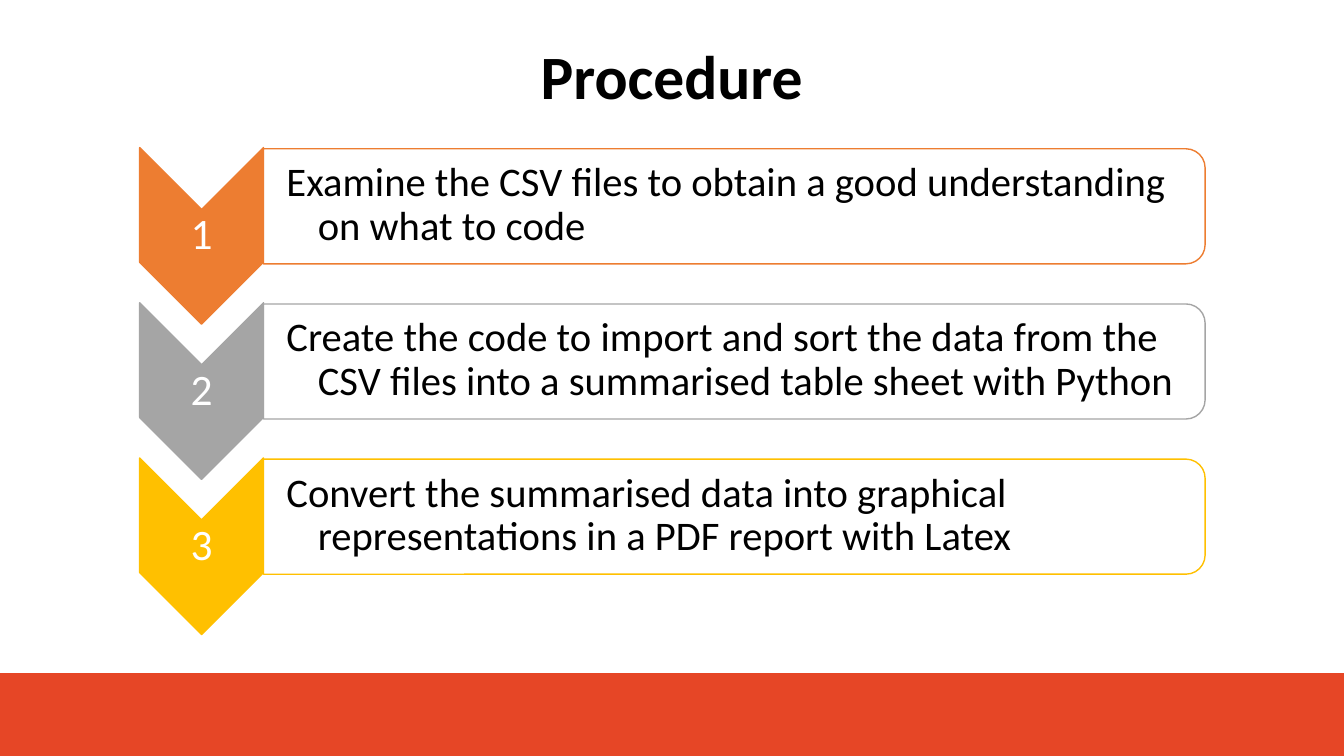
from lxml import etree
from pptx import Presentation
from pptx.dml.color import RGBColor
from pptx.enum.shapes import MSO_SHAPE
from pptx.enum.text import MSO_ANCHOR, PP_ALIGN
from pptx.oxml.ns import qn
from pptx.util import Cm, Pt

CHEVRON = MSO_SHAPE.CHEVRON
ROUNDED = MSO_SHAPE.ROUND_2_SAME_RECTANGLE
RECTANGLE = MSO_SHAPE.RECTANGLE
MIDDLE = MSO_ANCHOR.MIDDLE
CENTER = PP_ALIGN.CENTER
LEFT = PP_ALIGN.LEFT

PAGE_WIDTH, PAGE_HEIGHT = 33.87, 19.05
BAR_HEIGHT = 2.09
STEP_LEFT, STEP_TOP, STEP_WIDTH, STEP_PITCH = 3.52, 3.72, 26.85, 3.91
ARROW_WIDTH, ARROW_HEIGHT = 3.12, 4.45
PANEL_HEIGHT = 2.9
HANGING = 0.79

STEPS = [
    ("ED7D31", "Examine the CSV files to obtain a good understanding on what to code"),
    ("A5A5A5", "Create the code to import and sort the data from the CSV files "
               "into a summarised table sheet with Python"),
    ("FFC000", "Convert the summarised data into graphical representations "
               "in a PDF report with Latex"),
]


def color(value):
    return RGBColor.from_string(value)


def add_block(page, kind, left, top, width, height, fill, line=None):
    block = page.shapes.add_shape(kind, Cm(left), Cm(top), Cm(width), Cm(height))
    block.shadow.inherit = False
    block.fill.solid()
    block.fill.fore_color.rgb = color(fill)
    if line:
        block.line.color.rgb = color(line)
        block.line.width = Pt(1)
    else:
        block.line.fill.background()
    return block


def add_turned(page, kind, left, top, width, height, fill, line):
    shift = (width - height) / 2
    block = add_block(page, kind, left + shift, top - shift, height, width, fill, line)
    block.rotation = 90
    return block


def add_text(page, left, top, width, height, text, size, ink,
             align=CENTER, bold=False, inset=0.05, side=0.05):
    box = page.shapes.add_textbox(Cm(left), Cm(top), Cm(width), Cm(height))
    frame = box.text_frame
    frame.word_wrap = True
    frame.vertical_anchor = MIDDLE
    frame.margin_left = Cm(side)
    frame.margin_top = frame.margin_right = frame.margin_bottom = Cm(inset)
    para = frame.paragraphs[0]
    para.alignment = align
    para.line_spacing = 0.9
    span = para.add_run()
    span.text = text
    span.font.name = "Calibri"
    span.font.size = Pt(size)
    span.font.bold = bold
    span.font.color.rgb = color(ink)
    return para


def add_title(page, left, top, width, height):
    add_text(page, left, top, width, height, "Procedure", 44, "000000",
             bold=True, inset=0.13, side=0.13)


def add_step(page, left, top, width, number, accent, text):
    add_turned(page, CHEVRON, left, top, ARROW_WIDTH, ARROW_HEIGHT, accent, accent)
    add_text(page, left, top + 1.55, ARROW_WIDTH, 1.35, str(number), 31, "FFFFFF")
    panel_left = left + ARROW_WIDTH
    panel_width = width - ARROW_WIDTH
    panel = add_turned(page, ROUNDED, panel_left, top + 0.03, panel_width,
                       PANEL_HEIGHT, "FFFFFF", accent)
    tint = panel.fill._xPr.find(qn("a:solidFill"))[0]
    etree.SubElement(tint, qn("a:alpha"), val="90000")
    para = add_text(page, panel_left, top + 0.15, panel_width - 0.13, 2.62,
                    text, 29, "000000", align=LEFT, side=0.58)
    indents = para._p.get_or_add_pPr()
    indents.set("marL", str(Cm(HANGING)))
    indents.set("indent", str(-Cm(HANGING)))


def add_steps(page, left, top, width):
    for index, (accent, text) in enumerate(STEPS):
        add_step(page, left, top + index * STEP_PITCH, width, index + 1, accent, text)


def add_bar(page, left, top, width, height):
    add_block(page, RECTANGLE, left, top, width, height, "E64626")


def build_procedure(deck):
    page = deck.slides.add_slide(deck.slide_layouts[6])
    add_title(page, 13.16, 0.74, 7.54, 2.51)
    add_bar(page, 0, PAGE_HEIGHT - BAR_HEIGHT, PAGE_WIDTH, BAR_HEIGHT)
    add_steps(page, STEP_LEFT, STEP_TOP, STEP_WIDTH)


deck = Presentation()
deck.slide_width = Cm(PAGE_WIDTH)
deck.slide_height = Cm(PAGE_HEIGHT)
build_procedure(deck)
deck.save("out.pptx")
